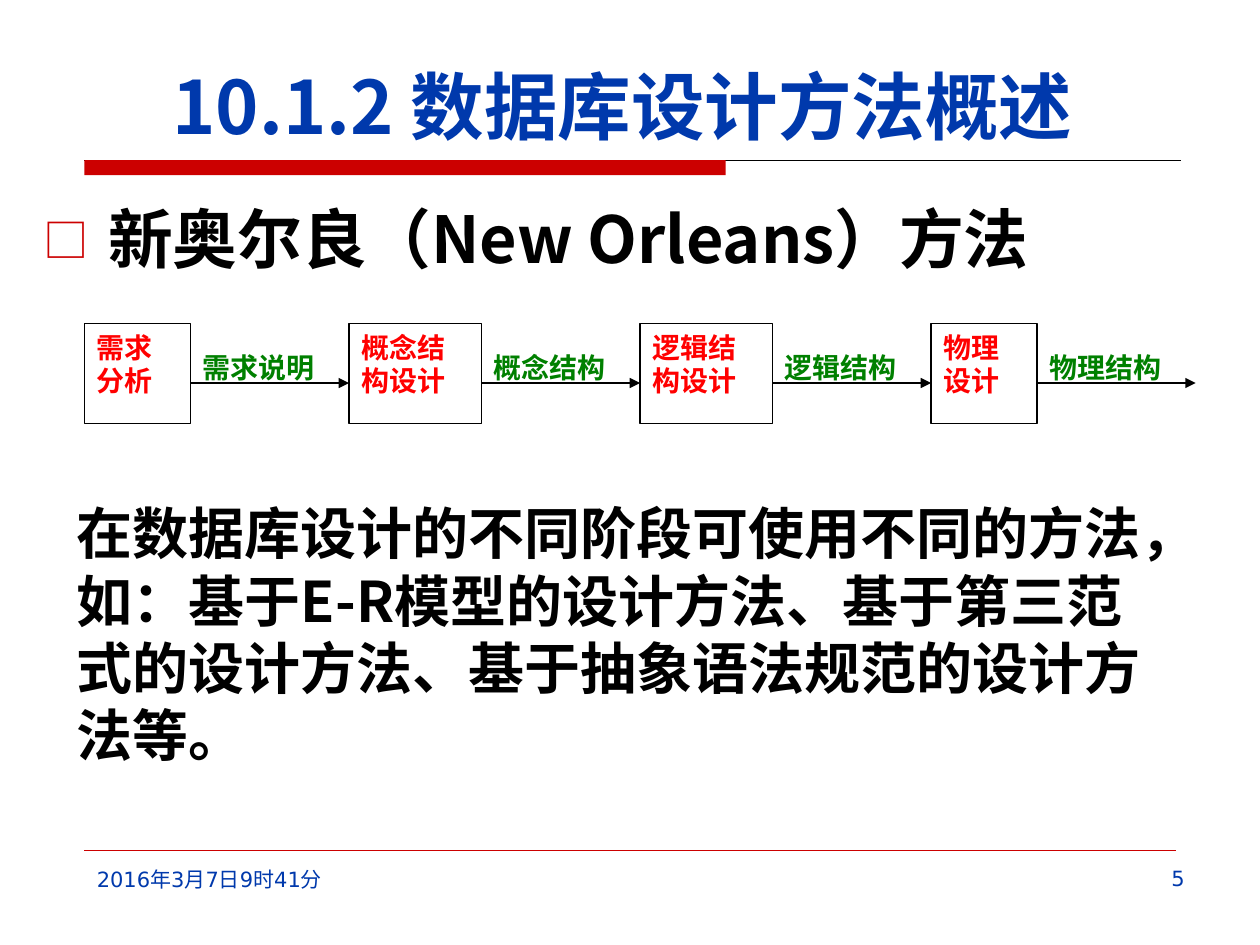
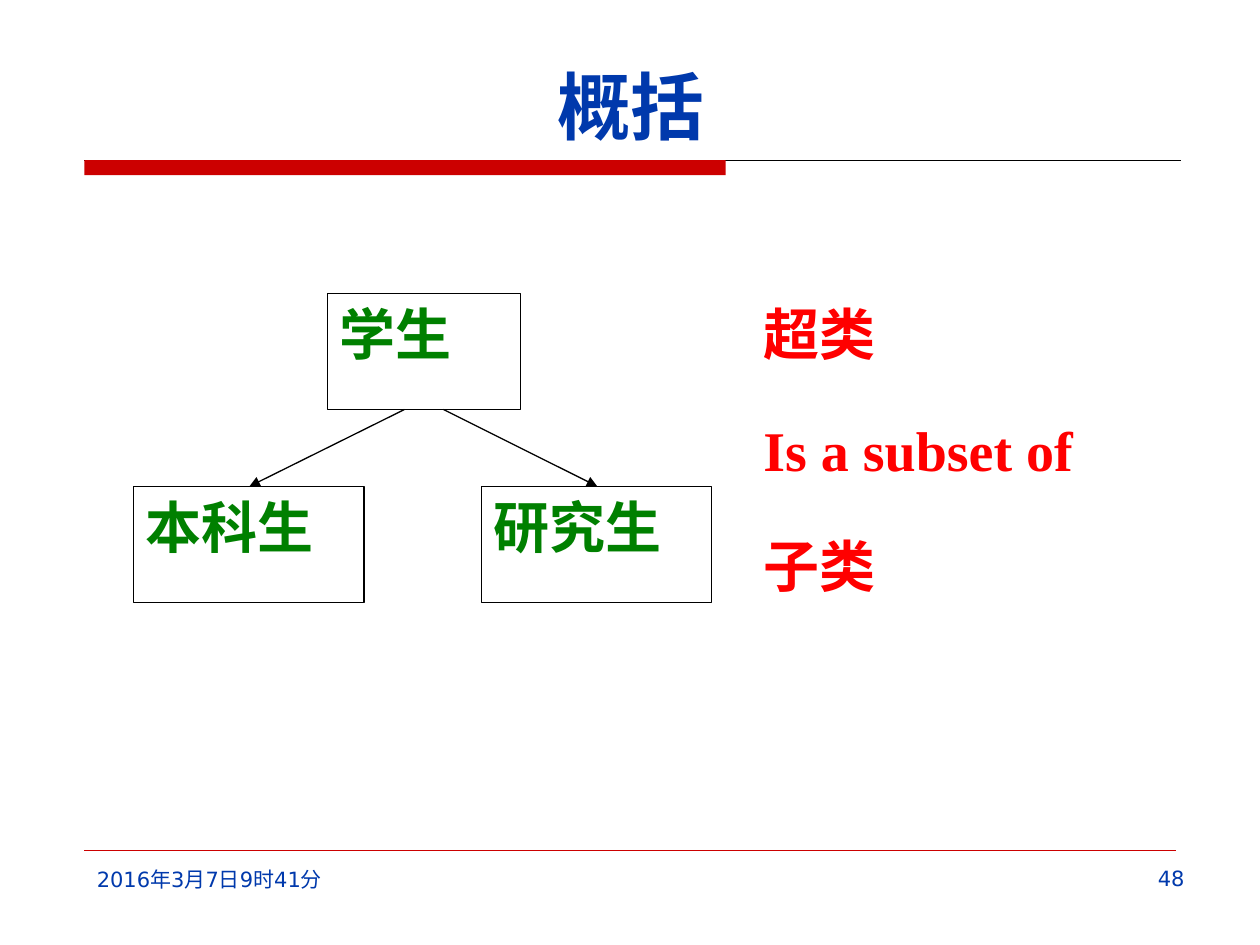
from lxml.etree import SubElement
from pptx import Presentation
from pptx.dml.color import RGBColor
from pptx.enum.shapes import MSO_CONNECTOR, MSO_SHAPE
from pptx.enum.text import MSO_ANCHOR, PP_ALIGN
from pptx.oxml.ns import qn
from pptx.util import Inches, Pt

BLUE = RGBColor(0x00, 0x39, 0xAC)
BAND_RED = RGBColor(0xCC, 0x00, 0x00)
RED = RGBColor(0xFF, 0x00, 0x00)
GREEN = RGBColor(0x00, 0x80, 0x00)
BLACK = RGBColor(0x00, 0x00, 0x00)
WHITE = RGBColor(0xFF, 0xFF, 0xFF)

CJK = "Noto Sans CJK SC"
TITLE = {"name": CJK, "size": Pt(42), "bold": True}
HEADING = {"name": CJK, "size": Pt(37), "bold": True}
BODY = {"name": CJK, "size": Pt(32), "bold": True}
FOOTER = {"name": "DejaVu Sans", "size": Pt(12), "bold": False}
FLOW = {"name": "Times New Roman", "size": Pt(16), "bold": True}
DIAGRAM = {"name": "Times New Roman", "size": Pt(32), "bold": True}


def add_text(s, at, lines, style, color, align=PP_ALIGN.LEFT, boxed=False):
    """Add one paragraph per line, in an outlined rectangle if boxed."""
    at = [Inches(v) for v in at]
    if boxed:
        sp = s.shapes.add_shape(MSO_SHAPE.RECTANGLE, *at)
        sp.shadow.inherit = False
        sp.fill.solid()
        sp.fill.fore_color.rgb = WHITE
        sp.line.color.rgb = BLACK
        sp.line.width = Pt(0.75)
    else:
        sp = s.shapes.add_textbox(*at)
    tf = sp.text_frame
    tf.word_wrap = True
    tf.vertical_anchor = MSO_ANCHOR.TOP
    for i, line in enumerate(lines):
        p = tf.add_paragraph() if i else tf.paragraphs[0]
        p.alignment = align
        r = p.add_run()
        r.text = line
        for key, value in style.items():
            setattr(r.font, key, value)
        r.font.color.rgb = color
        SubElement(r.font._element, qn("a:ea"), typeface=CJK)
    return tf


def add_line(s, start, end, color=BLACK, width=0.75, arrow=False):
    ends = [Inches(v) for v in (*start, *end)]
    line = s.shapes.add_connector(MSO_CONNECTOR.STRAIGHT, *ends)
    line.line.color.rgb = color
    line.line.width = Pt(width)
    if arrow:
        SubElement(line.line._get_or_add_ln(), qn("a:tailEnd"), type="triangle")
    SubElement(line._element.spPr, qn("a:effectLst"))


prs = Presentation()
prs.slide_width, prs.slide_height = Inches(10), Inches(7.5)

# Shared frame: title, band, footer
slides = []
for title, number in (("10.1.2 数据库设计方法概述 ", "5"), ("概括", "48")):
    s = prs.slides.add_slide(prs.slide_layouts[6])
    slides.append(s)
    add_line(s, (0.67, 1.27), (9.37, 1.27), BLACK, 0.5)
    band = s.shapes.add_shape(MSO_SHAPE.RECTANGLE, Inches(0.67), Inches(1.27),
                              Inches(5.09), Inches(0.12))
    band.shadow.inherit = False
    band.fill.solid()
    band.fill.fore_color.rgb = BAND_RED
    band.line.fill.background()
    add_line(s, (0.67, 6.75), (9.33, 6.75), BAND_RED, 0.25)
    tf = add_text(s, (0.63, 0.33, 8.75, 0.9), [title], TITLE, BLUE, PP_ALIGN.CENTER)
    tf.vertical_anchor = MSO_ANCHOR.BOTTOM
    add_text(s, (0.67, 6.83, 2.21, 0.52), ["2016年3月7日9时41分"], FOOTER, BLUE)
    add_text(s, (7.33, 6.82, 2.17, 0.52), [number], FOOTER, BLUE, PP_ALIGN.RIGHT)

# Slide 1: design stages and the result each one hands on
s = slides[0]
tf = add_text(s, (0.25, 1.47, 9.42, 0.94), ["新奥尔良（New Orleans）方法"], HEADING, BLACK)
p = tf.paragraphs[0]
p.line_spacing = 1.1
pPr = p._p.get_or_add_pPr()
pPr.set("marL", str(Inches(0.51)))
pPr.set("indent", str(-Inches(0.51)))
SubElement(SubElement(pPr, qn("a:buClr")), qn("a:srgbClr"), val=str(BAND_RED))
SubElement(pPr, qn("a:buSzPct"), val="70000")
SubElement(pPr, qn("a:buFont"), typeface=CJK)
SubElement(pPr, qn("a:buChar"), char="□")

STAGES = [
    (["需求", "分析"], 0.84, "需求说明"),
    (["概念结", "构设计"], 1.05, "概念结构"),
    (["逻辑结", "构设计"], 1.05, "逻辑结构"),
    (["物理", "设计"], 0.84, "物理结构"),
]
GAP = 1.26
x = 0.67
for stage, width, result in STAGES:
    add_text(s, (x, 2.57, width, 0.79), stage, FLOW, RED, PP_ALIGN.JUSTIFY, boxed=True)
    x += width
    add_text(s, (x, 2.73, GAP, 0.47), [result], FLOW, GREEN, PP_ALIGN.JUSTIFY)
    add_line(s, (x, 3.04), (x + GAP, 3.04), arrow=True)
    x += GAP

add_text(s, (0.51, 3.91, 8.9, 2.44),
         ["在数据库设计的不同阶段可使用不同的方法，如：基于E-R模型的设计方法、"
          "基于第三范式的设计方法、基于抽象语法规范的设计方法等。"], BODY, BLACK)

# Slide 2: superclass above its two subclasses
s = slides[1]
for name, x, y, width in (("学生", 2.6, 2.33, 1.53),
                          ("本科生", 1.06, 3.86, 1.83),
                          ("研究生", 3.82, 3.86, 1.83)):
    add_text(s, (x, y, width, 0.92), [name], DIAGRAM, GREEN, PP_ALIGN.JUSTIFY, boxed=True)
for start_x, end_x in ((3.21, 1.98), (3.52, 4.74)):
    add_line(s, (start_x, 3.25), (end_x, 3.86), arrow=True)
for i, label in enumerate(("超类", "Is a subset of", "子类")):
    add_text(s, (5.96, 2.33 + i * 0.92, 3.06, 0.92), [label], DIAGRAM, RED, PP_ALIGN.JUSTIFY)

prs.save("out.pptx")
